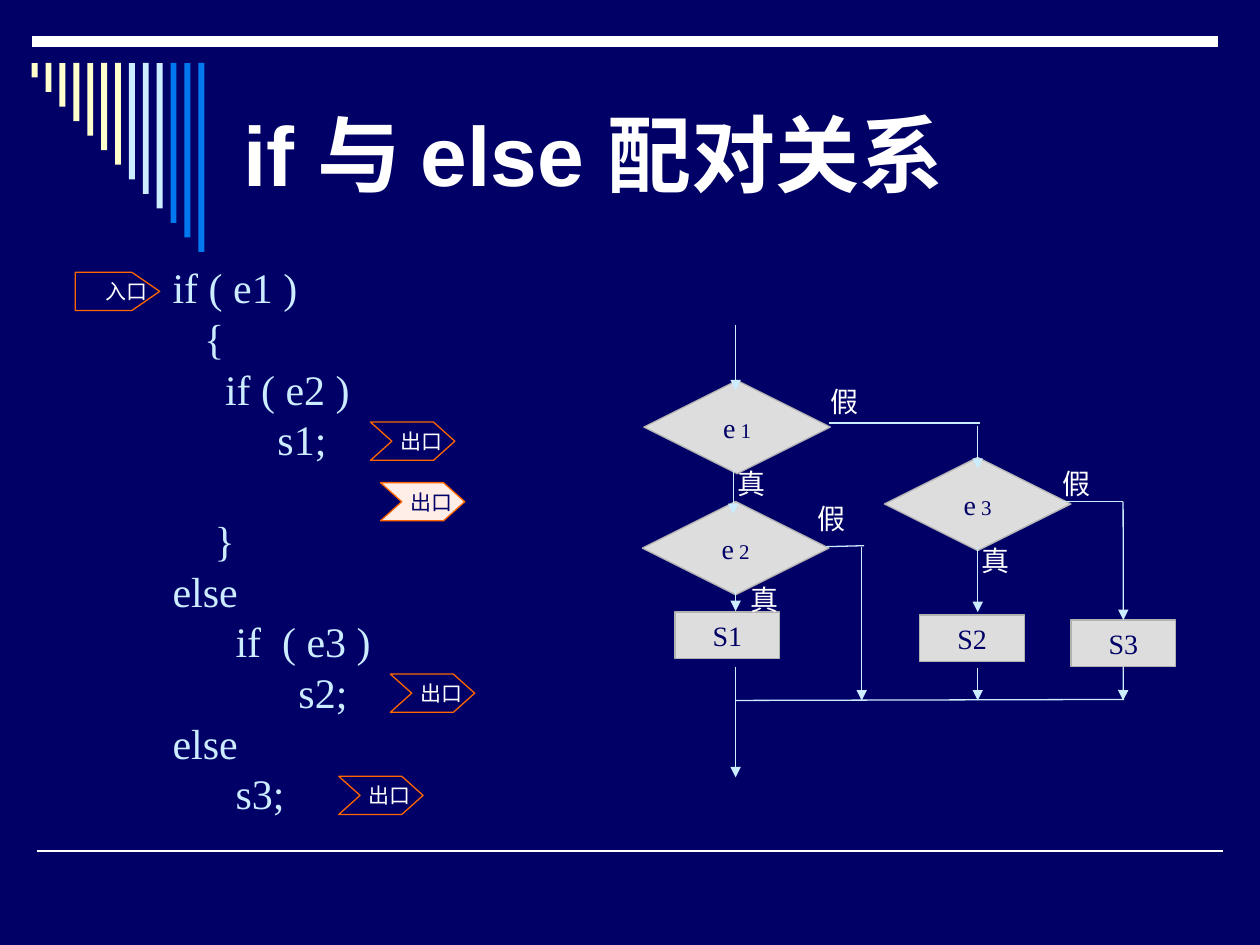
from dataclasses import dataclass
from lxml.etree import SubElement
from pptx import Presentation
from pptx.dml.color import RGBColor
from pptx.enum.shapes import MSO_CONNECTOR, MSO_SHAPE
from pptx.enum.text import MSO_ANCHOR, PP_ALIGN
from pptx.oxml.ns import qn
from pptx.util import Cm, Pt


@dataclass(frozen=True)
class Theme:
    navy: str = "000066"
    white: str = "FFFFFF"
    cream: str = "FFFFCC"
    pale: str = "CCECFF"
    blue: str = "0078F0"
    orange: str = "FF6600"
    blush: str = "FFEDE7"
    grey: str = "DDDDDD"
    edge: str = "B2B2B2"
    sans: str = "Arial"
    serif: str = "Times New Roman"
    title: int = 48
    code: int = 24
    node: int = 16
    small: int = 12
    thin: float = 0.75


class Board:
    def __init__(self, slide, theme):
        self.slide = slide
        self.theme = theme
        fill = slide.background.fill
        fill.solid()
        fill.fore_color.rgb = RGBColor.from_string(theme.navy)

    def say(self, para, text, size, color, font=None, bold=False):
        run = para.add_run()
        run.text = text
        run.font.size = Pt(size)
        run.font.name = font or self.theme.serif
        run.font.bold = bold
        run.font.color.rgb = RGBColor.from_string(color)

    def paint(self, shape, fill=None, line=None):
        shape.shadow.inherit = False
        if fill:
            shape.fill.solid()
            shape.fill.fore_color.rgb = RGBColor.from_string(fill)
        else:
            shape.fill.background()
        if line:
            shape.line.color.rgb = RGBColor.from_string(line)
            shape.line.width = Pt(self.theme.thin)
        else:
            shape.line.fill.background()

    def frame(self, shape, align, wrap=True):
        frame = shape.text_frame
        frame.word_wrap = wrap
        frame.vertical_anchor = MSO_ANCHOR.MIDDLE
        frame.paragraphs[0].alignment = align
        return frame

    def text(self, x, y, wide, high, align=PP_ALIGN.LEFT, wrap=True):
        box = self.slide.shapes.add_textbox(Cm(x), Cm(y), Cm(wide), Cm(high))
        return self.frame(box, align, wrap)

    def bar(self, x, y, wide, high, fill):
        shape = self.slide.shapes.add_shape(
            MSO_SHAPE.RECTANGLE, Cm(x), Cm(y), Cm(wide), Cm(high))
        self.paint(shape, fill)

    def node(self, kind, x, y, wide, high, name, sub=None):
        look = self.theme
        shape = self.slide.shapes.add_shape(kind, Cm(x), Cm(y), Cm(wide), Cm(high))
        self.paint(shape, look.grey, look.edge)
        para = self.frame(shape, PP_ALIGN.CENTER).paragraphs[0]
        self.say(para, name, look.node, look.navy)
        if sub:
            self.say(para, sub, look.small, look.navy)
        return shape

    def label(self, x, y, text):
        frame = self.text(x, y, 1.07, 0.94, PP_ALIGN.CENTER, False)
        self.say(frame.paragraphs[0], text, self.theme.node, self.theme.white)

    def tag(self, x, y, text, neck, notch=0, fill=None):
        look = self.theme
        wide, high = 1.7, 0.77
        points = [(neck, 0), (wide, high / 2), (neck, high), (0, high)]
        if notch:
            points.append((notch, high / 2))
        build = self.slide.shapes.build_freeform(Cm(x), Cm(y))
        build.add_line_segments([(Cm(x + dx), Cm(y + dy)) for dx, dy in points])
        shape = build.convert_to_shape()
        self.paint(shape, fill, look.orange)
        para = self.frame(shape, PP_ALIGN.RIGHT).paragraphs[0]
        self.say(para, text, look.small, look.navy if fill else look.white)

    def line(self, x1, y1, x2, y2, color, width, arrow=False):
        link = self.slide.shapes.add_connector(
            MSO_CONNECTOR.STRAIGHT, Cm(x1), Cm(y1), Cm(x2), Cm(y2))
        link.line.color.rgb = RGBColor.from_string(color)
        link.line.width = Pt(width)
        props = link._element.spPr
        if arrow:
            SubElement(props.get_or_add_ln(), qn("a:tailEnd"), type="triangle")
        SubElement(props, qn("a:effectLst"))
        return link

    def flow(self, x1, y1, x2, y2, arrow=True):
        return self.line(x1, y1, x2, y2, self.theme.pale, self.theme.thin, arrow)


def trim(board):
    look = board.theme
    board.line(0.74, 17.15, 24.66, 17.15, look.white, 1)
    board.line(0.64, 0.84, 24.56, 0.84, look.white, 6)
    fills = [look.cream] * 7 + [look.pale] * 3 + [look.blue] * 3
    for i, fill in enumerate(fills):
        board.bar(0.64 + 0.28 * i, 1.27, 0.12, 3.81 * (i + 1) / len(fills), fill)
    para = board.text(4.65, 1.27, 19.48, 3.61).paragraphs[0]
    board.say(para, "if 与 else 配对关系", look.title, look.white, look.sans, True)


def code(board):
    look = board.theme
    frame = board.text(3.23, 5.26, 6.55, 11.38)
    rows = [
        "if ( e1 )",
        "   {",
        "     if ( e2 )",
        "          s1;",
        "    }",
        "else",
        "      if  ( e3 )",
        "            s2;",
        "else",
        "      s3;",
    ]
    for i, row in enumerate(rows):
        para = frame.add_paragraph() if i else frame.paragraphs[0]
        para.line_spacing = 0.9
        if i:
            para.space_before = Pt(31.8 if row.strip() == "}" else 3)
        board.say(para, row, look.code, look.pale)
    board.tag(1.52, 5.49, "入口", 1.14)
    exits = [(7.47, 8.51, None), (7.67, 9.73, look.blush),
             (6.83, 15.65, None), (7.87, 13.59, None)]
    for x, y, fill in exits:
        board.tag(x, y, "出口", 1.27, 0.43, fill)


def chart(board):
    for x, y, sub in [(17.83, 9.22, " 3"), (12.98, 7.67, " 1"), (12.95, 10.11, " 2")]:
        board.node(MSO_SHAPE.FLOWCHART_DECISION, x, y, 3.76, 1.88, "e", sub)
    steps = {}
    for name, x, y in [("S1", 13.61, 12.34), ("S2", 18.54, 12.4), ("S3", 21.59, 12.5)]:
        steps[name] = board.node(MSO_SHAPE.RECTANGLE, x, y, 2.11, 0.94, name)

    left, mid, right = 14.83, 19.71, 22.64
    base = 14.12
    for x, top, end in [
        (left, 6.55, 7.87), (14.78, 9.47, 10.36), (left, 11.89, 12.32),
        (left, 13.44, 15.67), (17.37, 11.02, base), (mid, 8.59, 9.45),
        (mid, 11.02, 12.34), (mid, 13.46, base),
    ]:
        board.flow(x, top, x, end)
    board.flow(right, 10.11, right, 12.5).end_connect(steps["S3"], 0)
    board.flow(right, 13.44, right, base).begin_connect(steps["S3"], 2)
    for ends in [
        (left, base, 22.66, 14.1), (16.66, 11.02, 17.42, 11.0),
        (21.41, 10.11, right, 10.11), (16.71, 8.53, 19.76, 8.53),
    ]:
        board.flow(*ends, arrow=False)

    labels = {
        "真": [(14.61, 9.27), (19.53, 10.82), (14.88, 11.61)],
        "假": [(16.48, 7.62), (21.16, 9.27), (16.23, 9.98)],
    }
    for text, spots in labels.items():
        for x, y in spots:
            board.label(x, y, text)


def main():
    deck = Presentation()
    deck.slide_width, deck.slide_height = Cm(25.4), Cm(19.05)
    board = Board(deck.slides.add_slide(deck.slide_layouts[6]), Theme())
    trim(board)
    code(board)
    chart(board)
    deck.save("out.pptx")


if __name__ == "__main__":
    main()
